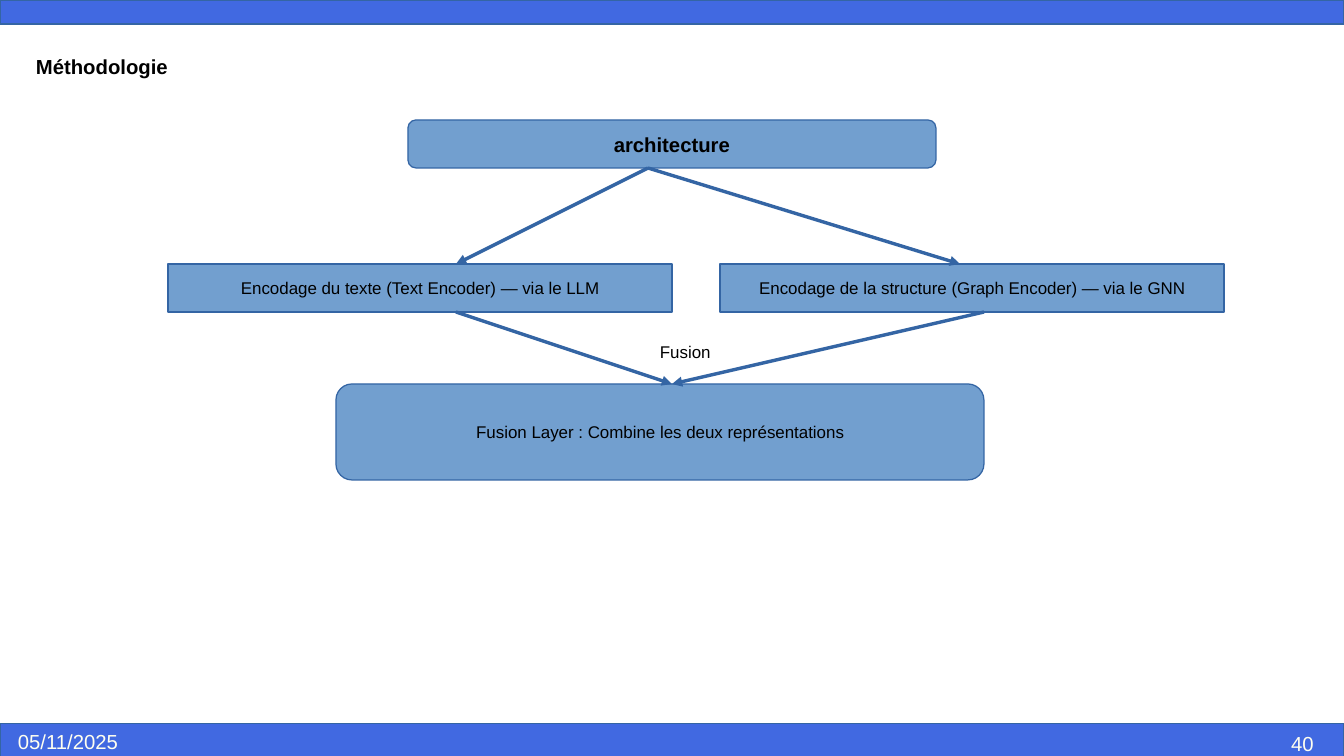
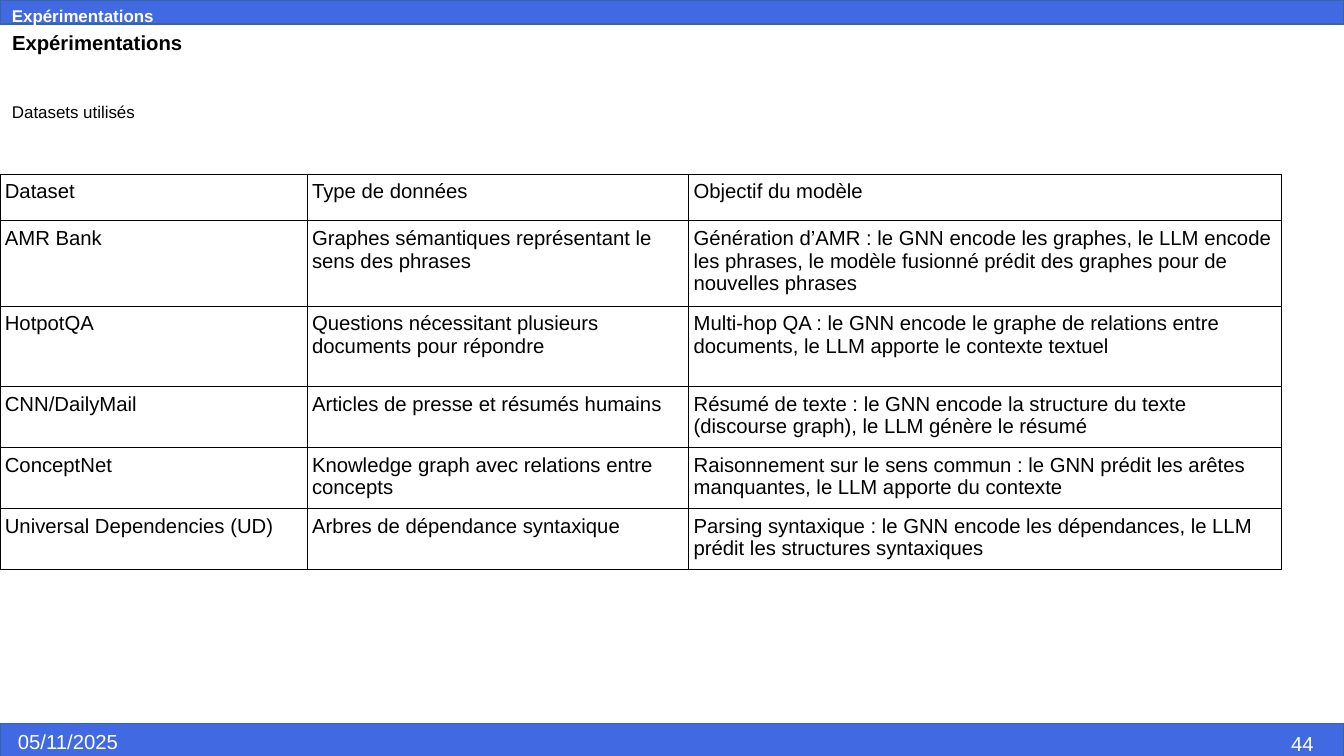
"""Build the methodology and experiments slides."""
from lxml import etree
from pptx import Presentation
from pptx import util as u
from pptx.dml.color import RGBColor
from pptx.enum import shapes, text
from pptx.oxml.ns import qn

BLACK = RGBColor(0x00, 0x00, 0x00)
IVORY = RGBColor(0xFF, 0xFF, 0xF0)
ROYAL = RGBColor(0x41, 0x69, 0xE1)
SKY = RGBColor(0x72, 0x9F, 0xCF)
EDGE = RGBColor(0x34, 0x65, 0xA4)
RECT = shapes.MSO_SHAPE.RECTANGLE
ROUND = shapes.MSO_SHAPE.ROUNDED_RECTANGLE
CENTER = text.PP_ALIGN.CENTER
COLS, ROWS = 56, 31.5
STEP = u.Cm(0.5)


def grid(*values):
    return [round(v * STEP) for v in values]


def write(tf, words, size=10, bold=False, color=BLACK, align=None):
    tf.word_wrap = True
    p = tf.paragraphs[0]
    p.alignment = align
    r = p.add_run()
    r.text = words
    r.font.name = "Arial"
    r.font.size = u.Pt(size)
    r.font.bold = bold
    r.font.color.rgb = color


class Deck:
    def __init__(self):
        self.prs = Presentation()
        self.prs.slide_width, self.prs.slide_height = grid(COLS, ROWS)

    def slide(self, number):
        self.s = self.prs.slides.add_slide(self.prs.slide_layouts[6])
        self.box(0, 0, COLS, 1, fill=ROYAL)
        self.box(0, 30.15, COLS, 1.5, fill=ROYAL)
        self.label(0.25, 30.15, 9, 1.5, "05/11/2025", size=12, color=IVORY)
        self.label(53.3, 30.2, 2.7, 1.5, str(number), size=12, color=IVORY)

    def box(self, x, y, w, h, words=None, kind=RECT, fill=SKY, **style):
        sp = self.s.shapes.add_shape(kind, *grid(x, y, w, h))
        sp.shadow.inherit = False
        sp.fill.solid()
        sp.fill.fore_color.rgb = fill
        sp.line.color.rgb = EDGE
        sp.line.width = u.Pt(0)
        if words:
            sp.text_frame.vertical_anchor = text.MSO_ANCHOR.MIDDLE
            write(sp.text_frame, words, align=CENTER, **style)

    def label(self, x, y, w, h, words, **style):
        sp = self.s.shapes.add_textbox(*grid(x, y, w, h))
        write(sp.text_frame, words, **style)

    def arrow(self, *ends):
        cx = self.s.shapes.add_connector(
            shapes.MSO_CONNECTOR.STRAIGHT, *grid(*ends))
        cx.line.color.rgb = EDGE
        cx.line.width = u.Pt(0)
        etree.SubElement(cx.line._get_or_add_ln(), qn("a:tailEnd"),
                         type="triangle")
        etree.SubElement(cx._element.spPr, qn("a:effectLst"))

    def table(self, x, y, widths, heights, rows):
        frame = self.s.shapes.add_table(
            len(rows), len(widths), *grid(x, y, sum(widths), sum(heights)))
        tbl = frame.table
        tbl.first_row = tbl.horz_banding = False
        for column, width in zip(tbl.columns, grid(*widths)):
            column.width = width
        for row, height, texts in zip(tbl.rows, grid(*heights), rows):
            row.height = height
            for cell, words in zip(row.cells, texts):
                cell.margin_left = cell.margin_right = u.Inches(0.04)
                self.border(cell)
                cell.fill.background()
                write(cell.text_frame, words, size=12)

    def border(self, cell):
        tc_pr = cell._tc.get_or_add_tcPr()
        for side in "LRTB":
            ln = etree.SubElement(tc_pr, qn("a:ln" + side),
                                  w=str(u.Pt(0.57)))
            fill = etree.SubElement(ln, qn("a:solidFill"))
            etree.SubElement(fill, qn("a:srgbClr"), val=str(BLACK))


def methodology(deck):
    deck.slide(40)
    deck.label(1, 2, 17, 2.75, "Méthodologie", size=12, bold=True)
    deck.box(17, 5, 22, 2, "architecture", kind=ROUND, size=12, bold=True)
    deck.box(7, 11, 21, 2, "Encodage du texte (Text Encoder) — via le LLM")
    deck.box(30, 11, 21, 2,
             "Encodage de la structure (Graph Encoder) — via le GNN")
    deck.box(14, 16, 27, 4,
             "Fusion Layer : Combine les deux représentations", kind=ROUND)
    for ends in ((27, 7, 19, 11), (27, 7, 40, 11),
                 (19, 13, 28, 16), (41, 13, 28, 16)):
        deck.arrow(*ends)
    deck.label(27, 14, 3.5, 1.25, "Fusion")


def experiments(deck):
    deck.slide(44)
    deck.label(0, 0, 13, 1.25, "Expérimentations", bold=True, color=IVORY)
    deck.label(0, 1, 12.25, 2, "Expérimentations", size=12, bold=True)
    deck.label(0, 4, 7, 1.25, "Datasets utilisés")
    rows = (
        ("Dataset", "Type de données", "Objectif du modèle"),
        ("AMR Bank", "Graphes sémantiques représentant le sens des phrases",
         "Génération d’AMR : le GNN encode les graphes, le LLM encode les "
         "phrases, le modèle fusionné prédit des graphes pour de nouvelles "
         "phrases"),
        ("HotpotQA", "Questions nécessitant plusieurs documents pour répondre",
         "Multi-hop QA : le GNN encode le graphe de relations entre "
         "documents, le LLM apporte le contexte textuel"),
        ("CNN/DailyMail", "Articles de presse et résumés humains",
         "Résumé de texte : le GNN encode la structure du texte (discourse "
         "graph), le LLM génère le résumé"),
        ("ConceptNet", "Knowledge graph avec relations entre concepts",
         "Raisonnement sur le sens commun : le GNN prédit les arêtes "
         "manquantes, le LLM apporte du contexte"),
        ("Universal Dependencies (UD)", "Arbres de dépendance syntaxique",
         "Parsing syntaxique : le GNN encode les dépendances, le LLM prédit "
         "les structures syntaxiques"),
    )
    deck.table(0, 7.25, (12.8, 15.9, 24.7),
               (1.95, 3.35, 3.35, 2.4, 2.4, 2.4), rows)


def main():
    deck = Deck()
    methodology(deck)
    experiments(deck)
    deck.prs.save("out.pptx")


if __name__ == "__main__":
    main()
